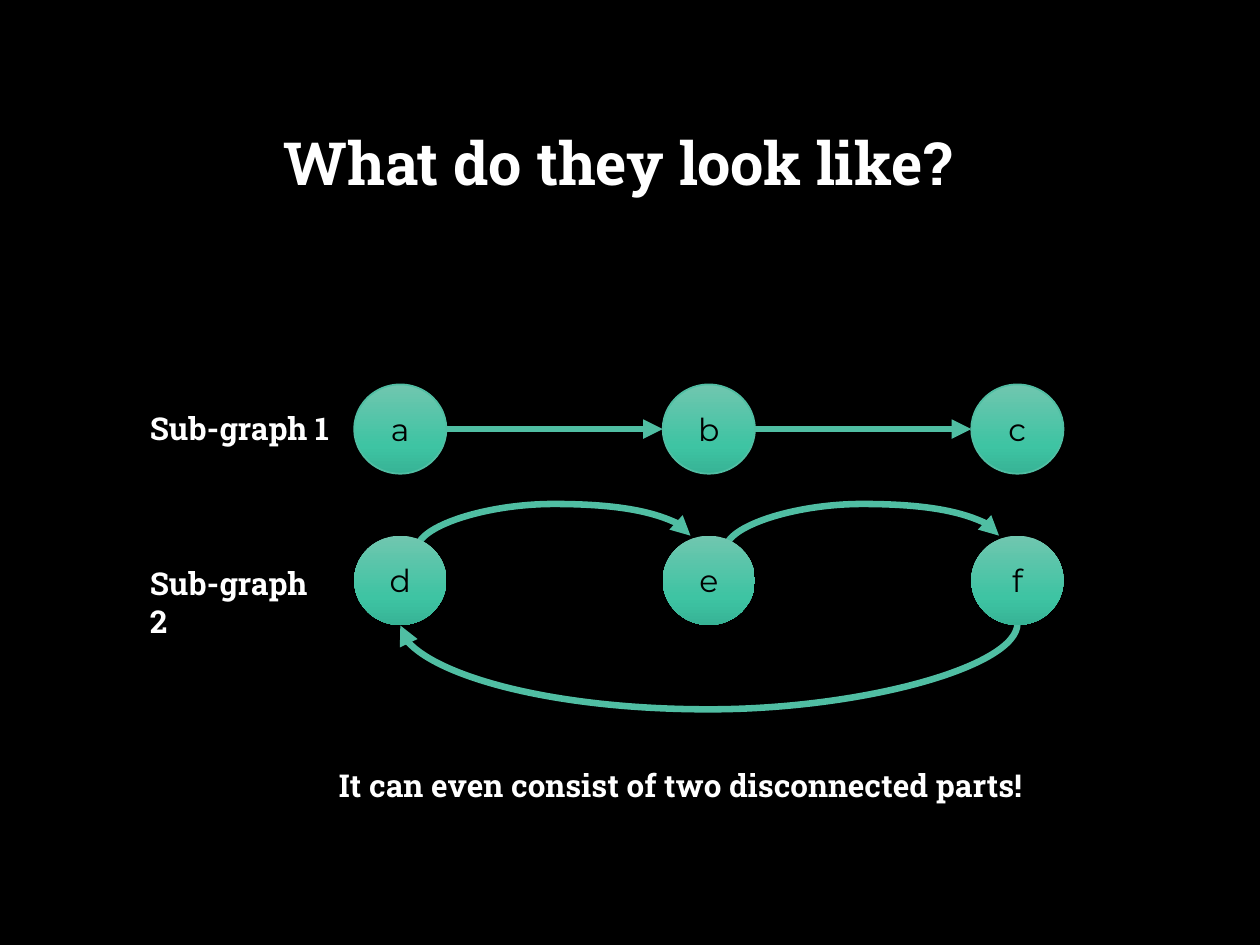
import pptx
import pptx.util
import pptx.dml.color
import pptx.enum.shapes
import pptx.enum.text
import pptx.oxml
import pptx.oxml.ns

Cm, Pt = pptx.util.Cm, pptx.util.Pt
qn = pptx.oxml.ns.qn
KIND = pptx.enum.shapes.MSO_CONNECTOR
ALIGN = pptx.enum.text.PP_ALIGN
ANCHOR = pptx.enum.text.MSO_ANCHOR

HUES = {"back": "000000", "text": "FFFFFF", "ink": "000000", "edge": "50BEA3"}
FADE = [(0, "70C6AF"), (69, "3EC4A3"), (100, "37B395")]

# Node grid, in cm
LEFT, STEP, WIDE, HIGH = 7.14, 6.22, 1.86, 1.8
ROWS = [7.75, 10.8]


def color(name):
    return pptx.dml.color.RGBColor.from_string(HUES[name])


def node(tag, **attrs):
    item = pptx.oxml.parse_xml(f'<a:{tag} {pptx.oxml.ns.nsdecls("a")}/>')
    for key, val in attrs.items():
        item.set(key, str(val))
    return item


class Deck:
    head, body = "Roboto Slab", "Montserrat"

    def __init__(self, slide):
        self.slide = slide
        fill = slide.background.fill
        fill.solid()
        fill.fore_color.rgb = color("back")

    def add_text(self, para, text, size, face, hue, bold=False):
        run = para.add_run()
        run.text = text
        run.font.size = Pt(size)
        run.font.name = face
        run.font.bold = bold
        run.font.color.rgb = color(hue)

    def title(self, text, x, y, w, h):
        box = self.slide.shapes.title
        box.left, box.top, box.width, box.height = Cm(x), Cm(y), Cm(w), Cm(h)
        box.text_frame.vertical_anchor = ANCHOR.TOP
        para = box.text_frame.paragraphs[0]
        para.alignment = ALIGN.CENTER
        para.line_spacing = 0.9
        self.add_text(para, text, 34, self.head, "text", True)

    def label(self, text, x, y, w):
        box = self.slide.shapes.add_textbox(Cm(x), Cm(y), Cm(w), Cm(1.02))
        frame = box.text_frame
        frame.word_wrap = True
        frame.auto_size = pptx.enum.text.MSO_AUTO_SIZE.SHAPE_TO_FIT_TEXT
        self.add_text(frame.paragraphs[0], text, 18, self.head, "text", True)

    def circle(self, text, x, y, rim):
        oval = self.slide.shapes.add_shape(
            pptx.enum.shapes.MSO_SHAPE.OVAL, Cm(x), Cm(y), Cm(WIDE), Cm(HIGH))
        oval.shadow.inherit = False
        oval.fill.gradient()
        oval.fill.gradient_angle = 270
        stops = oval._element.spPr.find(".//" + qn("a:gsLst"))
        for old in list(stops):
            stops.remove(old)
        for pos, hue in FADE:
            stop = node("gs", pos=pos * 1000)
            stop.append(node("srgbClr", val=hue))
            stops.append(stop)
        if rim:
            oval.line.color.rgb = color("edge")
            oval.line.width = Pt(1)
        else:
            oval.line.fill.background()
        oval.text_frame.vertical_anchor = ANCHOR.MIDDLE
        para = oval.text_frame.paragraphs[0]
        para.alignment = ALIGN.CENTER
        self.add_text(para, text, 18, self.body, "ink")

    def arrow(self, x1, y1, x2, y2, kind=KIND.STRAIGHT):
        line = self.slide.shapes.add_connector(
            kind, Cm(x1), Cm(y1), Cm(x2), Cm(y2))
        line.line.color.rgb = color("edge")
        line.line.width = Pt(3.75)
        props = line._element.spPr
        props.find(qn("a:ln")).append(node("tailEnd", type="triangle"))
        props.append(node("effectLst"))
        return line

    def curve(self, x1, y1, x2, y2, peak):
        # Laid out unturned about its centre, then turned a quarter
        mx, my = (x1 + x2) / 2, (y1 + y2) / 2
        dx, dy = (x2 - x1) / 2, (y2 - y1) / 2
        line = self.arrow(mx - dy, my + dx, mx + dy, my - dx, KIND.CURVE)
        props = line._element.spPr
        props.find(qn("a:xfrm")).set("rot", "5400000")
        bend = round((peak - y1) / (y2 - y1) * 100000)
        geom = props.find(qn("a:prstGeom"))
        for old in list(geom):
            geom.remove(old)
        guides = node("avLst")
        guides.append(node("gd", name="adj1", fmla=f"val {bend}"))
        geom.append(guides)


def main():
    prs = pptx.Presentation()
    prs.slide_width, prs.slide_height = Cm(25.4), Cm(19.05)
    deck = Deck(prs.slides.add_slide(prs.slide_layouts[5]))
    cols = [LEFT + STEP * i for i in range(3)]
    top, low = ROWS

    # Curved arrows of the cycle
    for x, end in zip(cols, cols[1:]):
        deck.curve(x + 1.27, low + 0.27, end + 0.56, low, 10.16)
    mid = WIDE / 2
    deck.curve(cols[2] + mid, 12.57, cols[0] + mid, 12.61, 14.3)

    # Nodes
    for y, names, rim in [(low, "def", False), (top, "abc", True)]:
        for x, name in zip(cols, names):
            deck.circle(name, x, y, rim)

    # Straight arrows of the chain
    for x, end in zip(cols, cols[1:]):
        deck.arrow(x + WIDE, top + HIGH / 2, end, top + HIGH / 2)

    # Title and labels
    deck.title("What do they look like?", 1.68, 2.57, 21.56, 3.68)
    deck.label("It can even consist of two disconnected parts!",
               6.58, 15.32, 16.2)
    deck.label("Sub-graph 1", 2.77, 8.13, 4.17)
    deck.label("Sub-graph 2", 2.77, 11.25, 4.17)

    prs.save("out.pptx")


if __name__ == "__main__":
    main()
